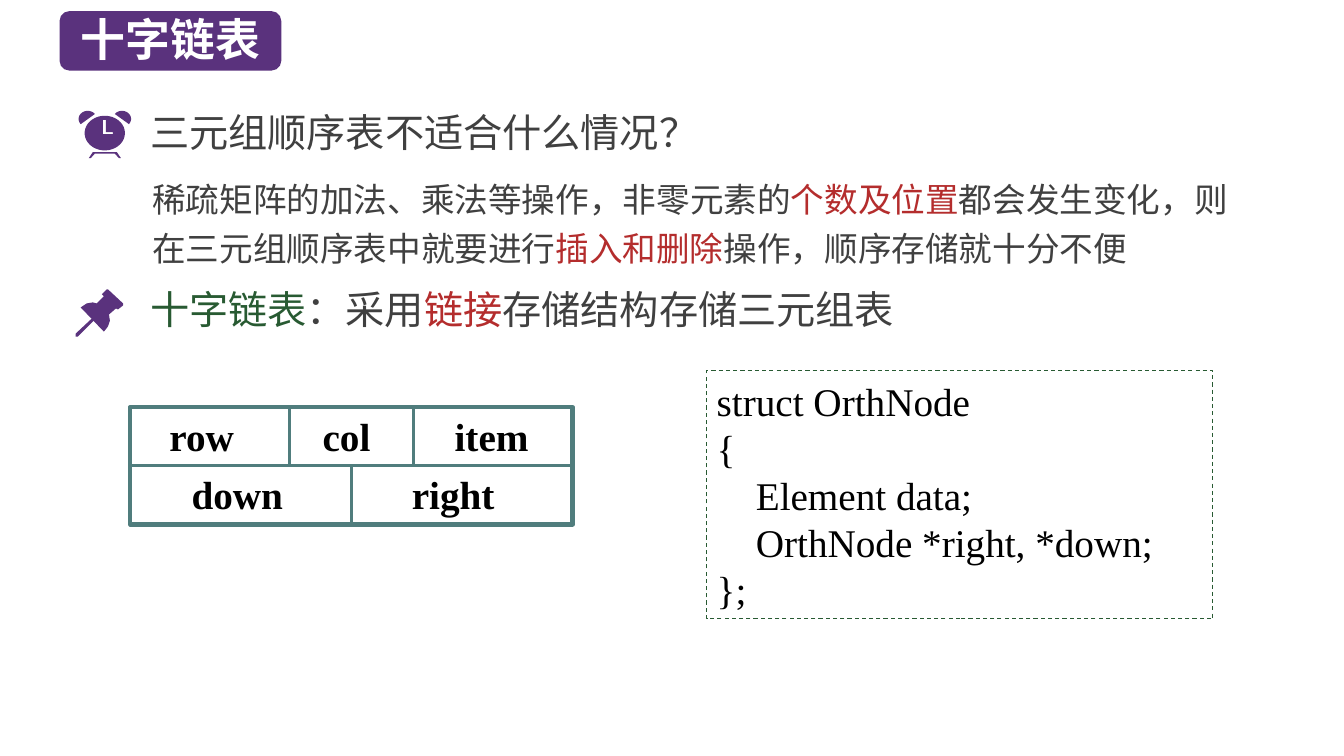
import math

from lxml import etree
from pptx import Presentation
from pptx.dml.color import RGBColor
from pptx.enum.dml import MSO_LINE
from pptx.enum.shapes import MSO_SHAPE
from pptx.enum.text import MSO_ANCHOR, MSO_AUTO_SIZE, PP_ALIGN
from pptx.oxml.ns import qn
from pptx.util import Inches, Pt

RECTANGLE, ROUNDED = MSO_SHAPE.RECTANGLE, MSO_SHAPE.ROUNDED_RECTANGLE
TOP, MIDDLE = MSO_ANCHOR.TOP, MSO_ANCHOR.MIDDLE
LEFT = PP_ALIGN.LEFT
NO_FIT = MSO_AUTO_SIZE.NONE
DASH = MSO_LINE.DASH

WIDTH, HEIGHT = Inches(13.33), Inches(7.5)
ICON_UNIT = Inches(0.01)
CHINESE, ROMAN = "Noto Sans CJK SC", "Times New Roman"
COLORS = {
    "purple": "5A327D",
    "white": "FFFFFF",
    "gray": "404040",
    "red": "B42D2D",
    "green": "285A32",
    "teal": "507D7D",
    "black": "000000",
}


def color(name):
    return RGBColor.from_string(COLORS[name])


def area(left, top, width, height):
    """Turn percentages of the slide into lengths."""
    return [int(WIDTH * left / 100), int(HEIGHT * top / 100),
            int(WIDTH * width / 100), int(HEIGHT * height / 100)]


def place(shape, box):
    shape.left, shape.top, shape.width, shape.height = box


def write(shape, paragraphs, size, font=CHINESE, bold=False, tint="gray",
          anchor=TOP, inset=Inches(0.1), line_spacing=None):
    """Fill a shape with paragraphs; each is a list of (text, colour) runs or a string."""
    frame = shape.text_frame
    frame.word_wrap = True
    frame.auto_size = NO_FIT
    frame.vertical_anchor = anchor
    frame.margin_left = inset
    for index, runs in enumerate(paragraphs):
        paragraph = frame.add_paragraph() if index else frame.paragraphs[0]
        properties = paragraph._p.get_or_add_pPr()
        properties.set("marL", "0")
        properties.set("indent", "0")
        paragraph.alignment = LEFT
        paragraph.space_before = Pt(0)
        if line_spacing:
            paragraph.line_spacing = line_spacing
        etree.SubElement(properties, qn("a:buNone"))
        for text, run_tint in [(runs, tint)] if isinstance(runs, str) else runs:
            run = paragraph.add_run()
            run.text = text
            run.font.size = Pt(size)
            run.font.bold = bold
            run.font.color.rgb = color(run_tint)
            run.font.name = font
            east_asian = etree.SubElement(run._r.get_or_add_rPr(), qn("a:ea"))
            east_asian.set("typeface", font)


def add_box(slide, box, kind=RECTANGLE, fill=None, line=None, width=1):
    shape = slide.shapes.add_shape(kind, *box)
    shape.shadow.inherit = False
    if fill:
        shape.fill.solid()
        shape.fill.fore_color.rgb = color(fill)
    else:
        shape.fill.background()
    if line:
        shape.line.color.rgb = color(line)
        shape.line.width = Pt(width)
    else:
        shape.line.fill.background()
    return shape


def add_heading(slide, top, width, runs):
    heading = slide.shapes.add_textbox(*area(10.43, top, width, 7.6))
    write(heading, [runs], 28)


def add_outline(slide, left, top, *contours):
    """Draw closed contours, given in icon units, as one filled freeform."""
    builder = None
    for contour in contours:
        points = [(x * ICON_UNIT, y * ICON_UNIT) for x, y in contour]
        if builder is None:
            builder = slide.shapes.build_freeform(*points[0])
        else:
            builder.move_to(*points[0])
        builder.add_line_segments(points[1:], close=True)
    outline = builder.convert_to_shape(*area(left, top, 0, 0)[:2])
    outline.shadow.inherit = False
    outline.fill.solid()
    outline.fill.fore_color.rgb = color("purple")
    outline.line.fill.background()


def arc(center_x, center_y, radius_x, radius_y, start, end, steps=36):
    angles = [math.radians(start + (end - start) * step / steps) for step in range(steps + 1)]
    return [(center_x + radius_x * math.cos(angle), center_y + radius_y * math.sin(angle))
            for angle in angles]


def add_clock(slide, left, top):
    face = arc(26, 22, 20, 17.2, 0, 350)
    hands = [(24, 9), (27, 9), (27, 21), (34, 21), (34, 23), (24, 23)]
    left_bell = arc(9, 8, 9, 8, 140, 322)
    right_bell = [(52 - x, y) for x, y in left_bell]
    stand = [(10, 47), (14, 41), (38, 41), (42, 47), (40, 47), (36, 42.5), (16, 42.5), (12, 47)]
    for contours in ([face, hands], [left_bell], [right_bell], [stand]):
        add_outline(slide, left, top, *contours)


def add_pin(slide, left, top):
    head = [(47, 14), (32, 0), (31, 0), (26, 5), (28, 7), (21, 14), (17, 13), (11, 14),
            (5, 18), (28, 42), (32, 37), (34, 31), (33, 25), (40, 19), (42, 20), (47, 16)]
    needle = [(0, 44), (16, 29), (18, 29), (18, 31), (2, 47), (0, 47)]
    add_outline(slide, left, top, head)
    add_outline(slide, left, top, needle)


def add_node(slide, left, top, width, height, rows):
    """Draw the node's fields: rows of (label, width weight, label inset in inches)."""
    row_height = height / len(rows)
    for row_index, fields in enumerate(rows):
        unit = width / sum(weight for _, weight, _ in fields)
        cell_left = left
        for label, weight, inset in fields:
            box = area(cell_left, top + row_index * row_height, weight * unit, row_height)
            cell = add_box(slide, box, line="teal", width=2.25)
            write(cell, [label], 28, font=ROMAN, bold=True, tint="black", inset=Inches(inset))
            cell_left += weight * unit
    add_box(slide, area(left, top, width, height), line="teal", width=3)


def main():
    presentation = Presentation()
    presentation.slide_width, presentation.slide_height = WIDTH, HEIGHT
    slide = presentation.slides.add_slide(presentation.slide_layouts[1])
    title, body = slide.placeholders

    # Title on its badge
    place(title, area(5.25, 0.93, 15.68, 8.53))
    write(title, ["十字链表"], 32, bold=True, tint="white")
    badge = add_box(slide, area(4.43, 1.47, 16.5, 7.87), ROUNDED, fill="purple")
    title.element.addprevious(badge.element)

    # Question and its answer
    add_clock(slide, 5.85, 14.67)
    add_heading(slide, 13.73, 54.46, "三元组顺序表不适合什么情况？")
    place(body, area(10.58, 21.87, 81.7, 14.4))
    write(body, [[
        ("稀疏矩阵的加法、乘法等操作，非零元素的", "gray"),
        ("个数及位置", "red"),
        ("都会发生变化，则在三元组顺序表中就要进行", "gray"),
        ("插入和删除", "red"),
        ("操作，顺序存储就十分不便", "gray"),
    ]], 24, line_spacing=Pt(35))

    # Definition
    add_pin(slide, 5.63, 38.27)
    add_heading(slide, 37.07, 88, [
        ("十字链表", "green"),
        ("：采用", "gray"),
        ("链接", "red"),
        ("存储结构存储三元组表", "gray"),
    ])

    # Node layout
    add_node(slide, 9.68, 53.87, 32.93, 15.5, [
        [("row", 9, 0.39), ("col", 7, 0.33), ("item", 9, 0.41)],
        [("down", 1, 0.61), ("right", 1, 0.6)],
    ])

    # Node declaration
    code = add_box(slide, area(52.59, 49.07, 37.66, 32.8), line="green", width=0.75)
    code.line.dash_style = DASH
    write(code, [
        "struct OrthNode",
        "{",
        "    Element data;",
        "    OrthNode *right, *down;",
        "};",
    ], 28, font=ROMAN, tint="black", anchor=MIDDLE)

    presentation.save("out.pptx")


if __name__ == "__main__":
    main()
